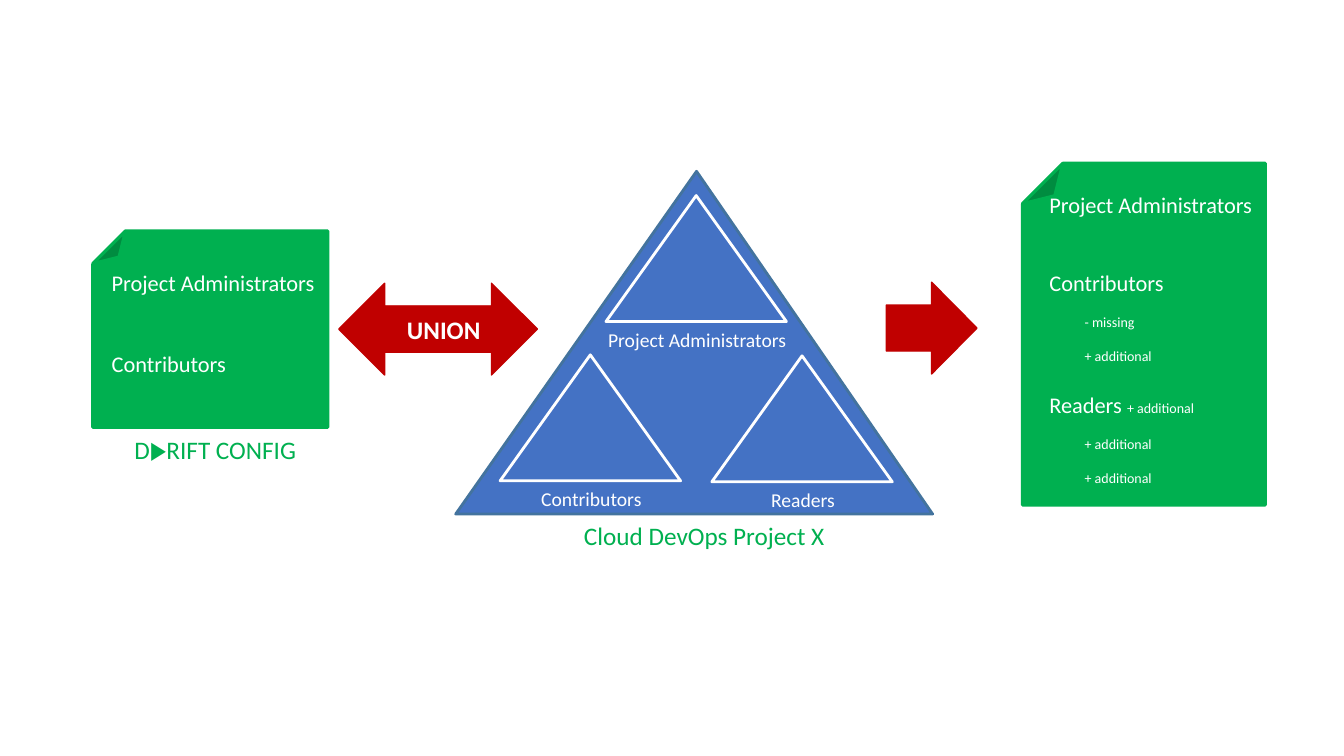
from pptx import Presentation
from pptx.dml.color import RGBColor
from pptx.enum.shapes import MSO_SHAPE
from pptx.enum.text import MSO_ANCHOR, PP_ALIGN
from pptx.util import Inches, Pt

COLORS = {
    "green": "00B050",
    "red": "C00000",
    "blue": "4472C4",
    "blue_line": "43739E",
    "white": "FFFFFF",
}
FONT = "Calibri"

# Boxes are left, top, width, height in inches.
NOTES = [(10.14, 1.62, 2.41, 3.39), (0.92, 2.29, 2.33, 1.95)]
ARROWS = [
    # box, rotation, label
    ((3.36, 2.81, 1.63, 0.91), 180, ""),
    ((3.7, 2.81, 1.63, 0.91), 0, "UNION"),
    ((8.79, 2.8, 0.9, 0.91), 0, ""),
]
PROJECT_BOX = (4.52, 1.7, 4.73, 3.4)
GROUP_SIZE = (1.79, 1.25)
GROUPS = [
    ("Project Administrators", 6.01, 1.94),
    ("Contributors", 4.96, 3.52),
    ("Readers", 7.06, 3.53),
]
CAPTIONS = [
    ("Cloud DevOps Project X", (5.68, 5.11, 2.61, 0.4)),
    ("D▶RIFT CONFIG", (1.18, 4.26, 1.91, 0.4)),
]
# Each line: runs of (text, size), indent in inches, space before in points.
CONFIG_LINES = [
    ([("Project Administrators", 16)], 0, 0),
    ([("Contributors", 16)], 0, 39),
]
RESULT_LINES = [
    ([("Project Administrators", 16)], 0, 0),
    ([("Contributors", 16)], 0, 36.6),
    ([("- missing", 10)], 0.35, 12.2),
    ([("+ additional", 10)], 0.35, 12.2),
    ([("Readers ", 16), ("+ additional", 10)], 0, 19.5),
    ([("+ additional", 10)], 0.35, 12.2),
    ([("+ additional", 10)], 0.35, 12.2),
]
LISTS = [
    (CONFIG_LINES, (1.01, 2.62, 2.24, 1.18)),
    (RESULT_LINES, (10.31, 1.85, 2.24, 3.37)),
]


def color(name):
    return RGBColor.from_string(COLORS[name])


def add_shape(slide, kind, box, fill, line, line_width, rotation=0):
    shape = slide.shapes.add_shape(kind, *map(Inches, box))
    shape.shadow.inherit = False
    shape.rotation = rotation
    if fill:
        shape.fill.solid()
        shape.fill.fore_color.rgb = color(fill)
    else:
        shape.fill.background()
    shape.line.color.rgb = color(line)
    shape.line.width = Pt(line_width)
    return shape


def format_font(font, size, color_name, bold=False):
    font.name = FONT
    font.size = Pt(size)
    font.bold = bold
    font.color.rgb = color(color_name)


def add_label(slide, text, box, size, color_name):
    frame = slide.shapes.add_textbox(*map(Inches, box)).text_frame
    frame.word_wrap = False
    frame.text = text
    paragraph = frame.paragraphs[0]
    paragraph.alignment = PP_ALIGN.CENTER
    format_font(paragraph.runs[0].font, size, color_name)


def add_list(slide, lines, box):
    frame = slide.shapes.add_textbox(*map(Inches, box)).text_frame
    frame.word_wrap = False
    for index, (runs, indent, space) in enumerate(lines):
        paragraph = frame.add_paragraph() if index else frame.paragraphs[0]
        paragraph.space_before = Pt(space)
        if indent:
            paragraph._p.get_or_add_pPr().set("marL", str(Inches(indent)))
        for text, size in runs:
            run = paragraph.add_run()
            run.text = text
            format_font(run.font, size, "white")


def main():
    presentation = Presentation()
    presentation.slide_width = Inches(13.33)
    presentation.slide_height = Inches(7.5)
    slide = presentation.slides.add_slide(presentation.slide_layouts[6])

    for box in NOTES:
        add_shape(slide, MSO_SHAPE.FOLDED_CORNER, box, "green", "green", 2.25, 180)

    for box, rotation, text in ARROWS:
        arrow = add_shape(slide, MSO_SHAPE.RIGHT_ARROW, box, "red", "red", 1, rotation)
        if text:
            frame = arrow.text_frame
            frame.text = text
            frame.vertical_anchor = MSO_ANCHOR.MIDDLE
            frame.paragraphs[0].alignment = PP_ALIGN.CENTER
            format_font(frame.paragraphs[0].runs[0].font, 18, "white", bold=True)

    project = add_shape(
        slide, MSO_SHAPE.ISOSCELES_TRIANGLE, PROJECT_BOX, "blue", "blue_line", 2)
    project.adjustments[0] = 0.505
    width, height = GROUP_SIZE
    for name, left, top in GROUPS:
        add_shape(slide, MSO_SHAPE.ISOSCELES_TRIANGLE,
                  (left, top, width, height), None, "white", 2)
        add_label(slide, name, (left - 0.09, top + height + 0.01, width + 0.2, 0.34),
                  14, "white")

    for text, box in CAPTIONS:
        add_label(slide, text, box, 18, "green")
    for lines, box in LISTS:
        add_list(slide, lines, box)

    presentation.save("out.pptx")


if __name__ == "__main__":
    main()
